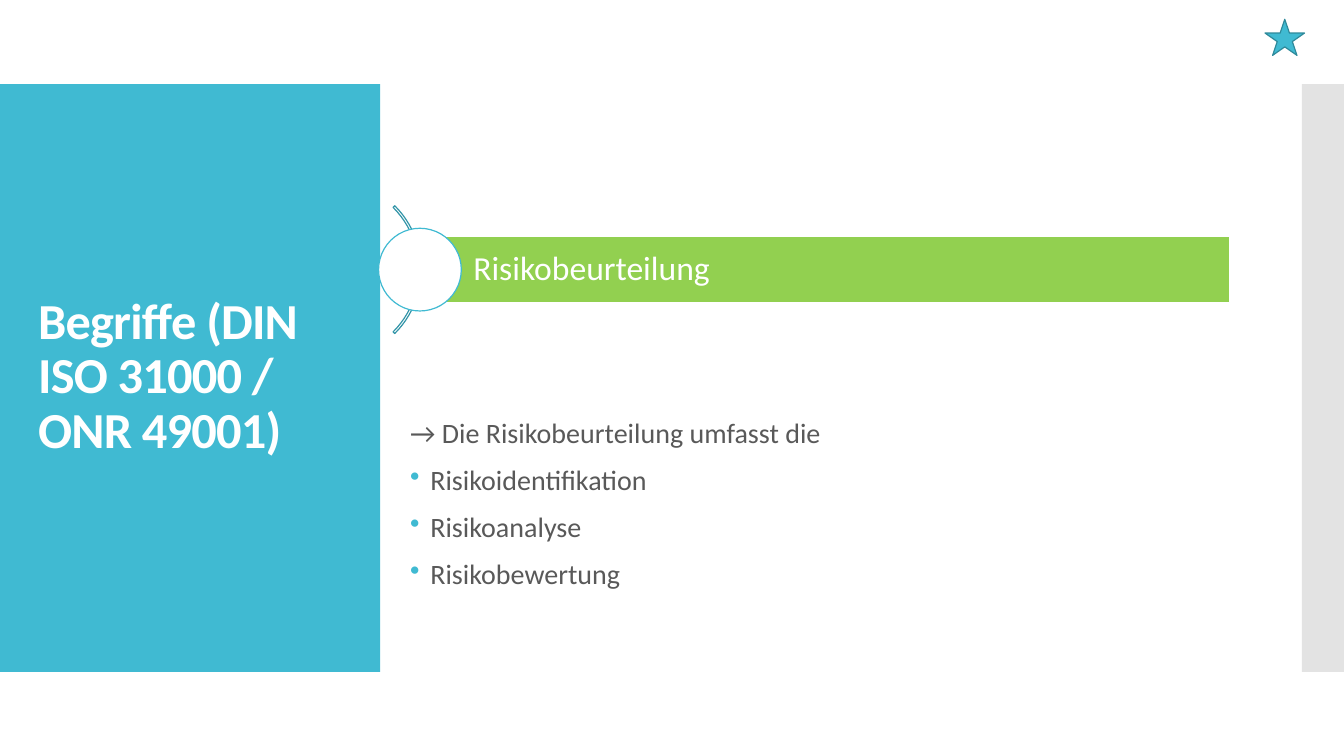
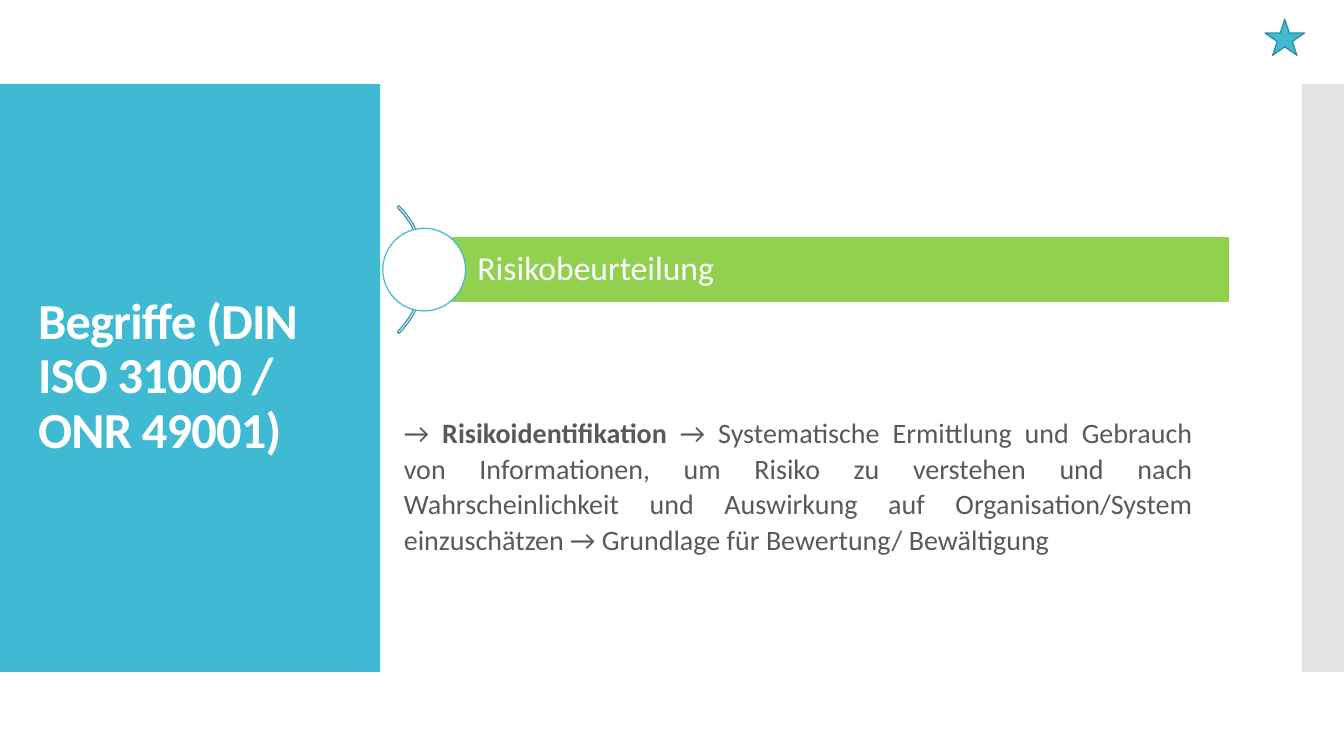
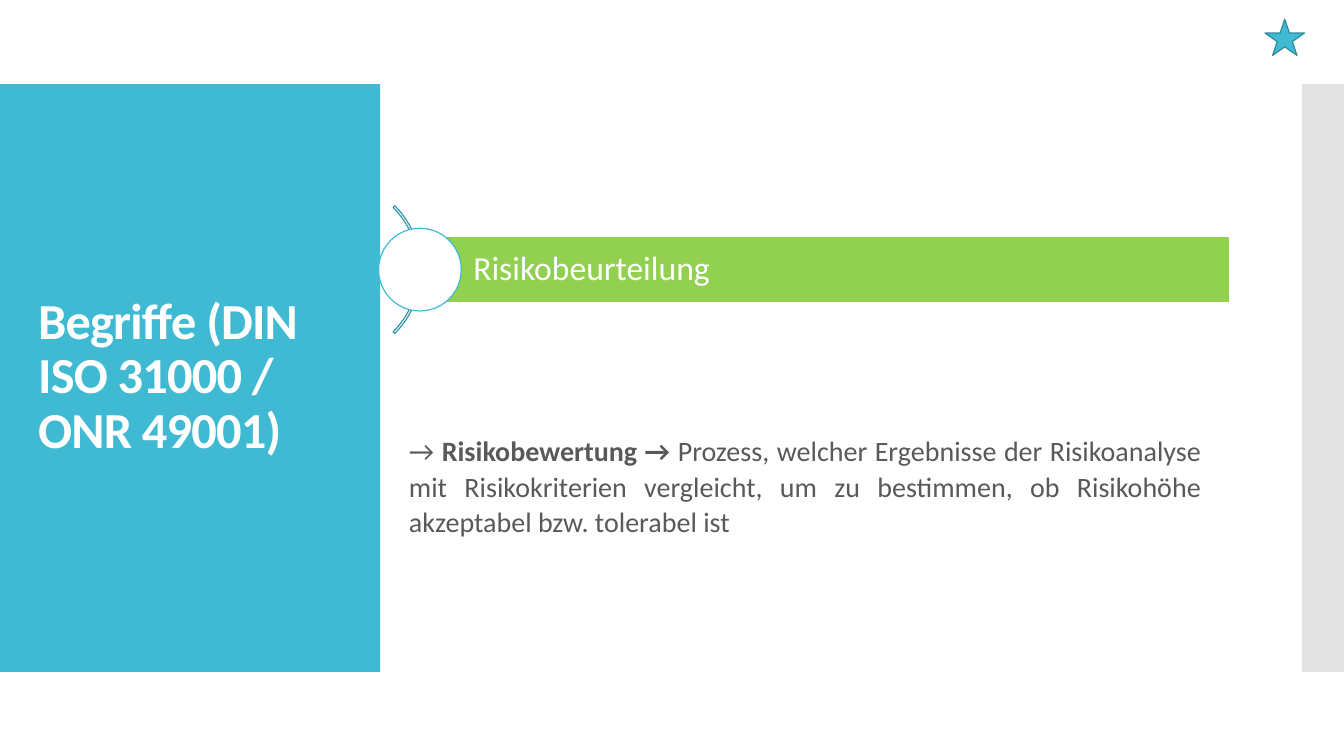
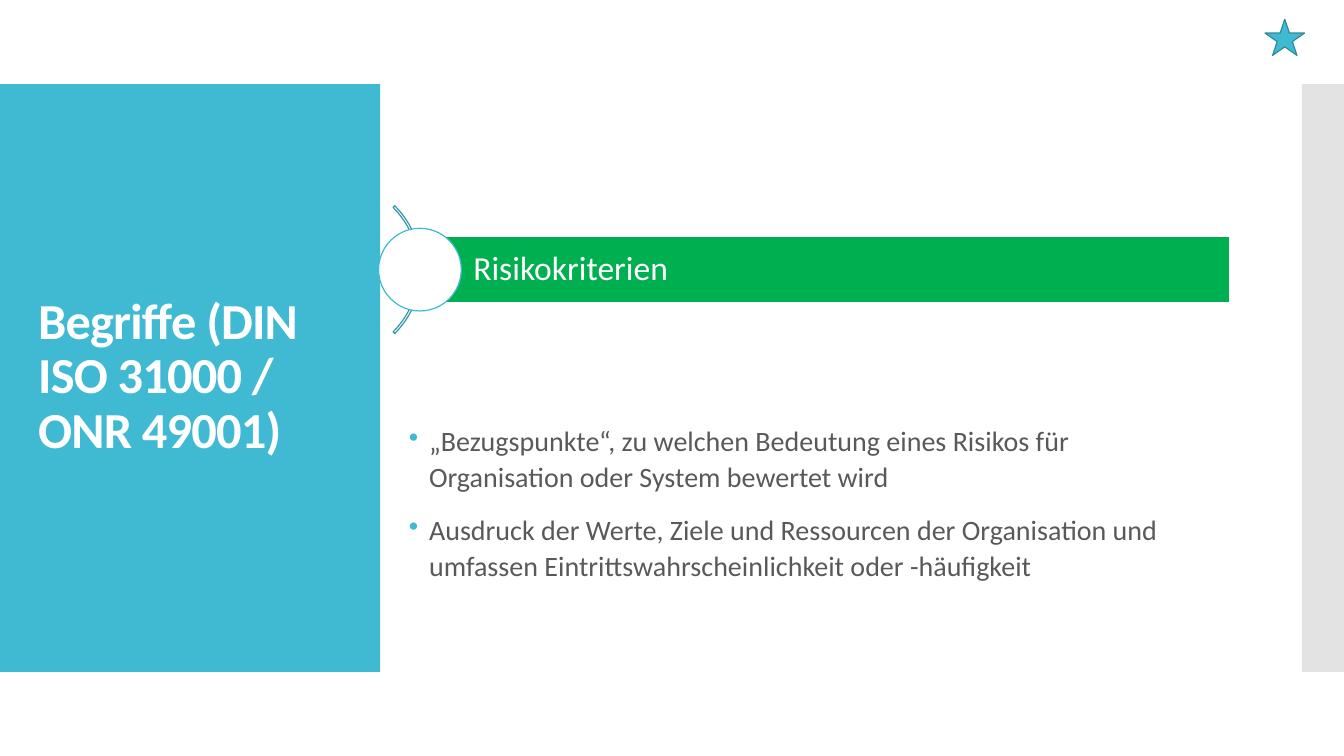
from lxml.etree import SubElement
from pptx import Presentation
from pptx.dml.color import RGBColor
from pptx.enum.shapes import MSO_SHAPE
from pptx.enum.text import MSO_ANCHOR, MSO_AUTO_SIZE, PP_ALIGN
from pptx.oxml.ns import qn
from pptx.util import Inches, Pt

WIDTH, HEIGHT = Inches(13.33), Inches(7.5)
COLUMNS, ROWS = 32, 18
FONT = "Calibri"
TITLE = "Begriffe (DIN ISO 31000 / ONR 49001)"

WHITE = RGBColor(0xFF, 0xFF, 0xFF)
TURQUOISE = RGBColor(0x40, 0xBA, 0xD2)
ARC_BLUE = RGBColor(0x33, 0x95, 0xA8)
STAR_BLUE = RGBColor(0x2F, 0x8A, 0x9B)
GREY = RGBColor(0xC8, 0xC8, 0xC8)
TEXT_GREY = RGBColor(0x59, 0x59, 0x59)
LIGHT_GREEN = RGBColor(0x92, 0xD0, 0x50)
GREEN = RGBColor(0x00, 0xB0, 0x50)

BAR_MIDDLE, BAR_RIGHT = 6.42, 29.28
BODY_HEIGHT = 5.8


def columns(count):
    return round(WIDTH * count / COLUMNS)


def rows(count):
    return round(HEIGHT * count / ROWS)


def box(left, top, width, height):
    return columns(left), rows(top), columns(width), rows(height)


def centred(middle_column, middle_row, size):
    return box(middle_column - size / 2, middle_row - size / 2, size, size)


def add_figure(slide, kind, place, fill=None, line=None):
    shape = slide.shapes.add_shape(kind, *place)
    shape.shadow.inherit = False
    if fill is None:
        shape.fill.background()
    else:
        shape.fill.solid()
        shape.fill.fore_color.rgb = fill
    if line is None:
        shape.line.fill.background()
    else:
        shape.line.color.rgb = line
        shape.line.width = Pt(0.85)
    return shape


def style_runs(paragraph, size, colour):
    for run in paragraph.runs:
        run.font.name = FONT
        run.font.size = Pt(size)
        run.font.color.rgb = colour


def share_bands(layout, slide):
    panel = add_figure(slide, MSO_SHAPE.RECTANGLE, box(0, 2, 9.05, 14), TURQUOISE)
    edge = add_figure(slide, MSO_SHAPE.RECTANGLE, box(31, 2, 1, 14), GREY)
    for colour in edge.element.iter(qn("a:srgbClr")):
        SubElement(colour, qn("a:alpha")).set("val", "50000")
    for number, band in enumerate((panel, edge), start=20):
        next(band.element.iter(qn("p:cNvPr"))).set("id", str(number))
        layout.shapes.element.insert(2, band.element)


def set_title(slide):
    title = slide.shapes.title
    title.left, title.top, title.width, title.height = box(0.67, 2.95, 7.73, 12.07)
    frame = title.text_frame
    frame.text = TITLE
    frame.word_wrap = True
    frame.auto_size = MSO_AUTO_SIZE.NONE
    frame.vertical_anchor = MSO_ANCHOR.MIDDLE
    paragraph = frame.paragraphs[0]
    paragraph.alignment = PP_ALIGN.LEFT
    paragraph.line_spacing = 0.9
    style_runs(paragraph, 36, WHITE)
    paragraph.runs[0].font.bold = True
    for properties in title.element.iter(qn("a:rPr")):
        properties.set("spc", "-60")


def add_term_bar(slide, term, colour, left):
    arc = add_figure(slide, MSO_SHAPE.BLOCK_ARC,
                     centred(left - 2.12, BAR_MIDDLE, 4.3), line=ARC_BLUE)
    for index, value in enumerate((189, 27, 0.013)):
        arc.adjustments[index] = value
    bar = add_figure(slide, MSO_SHAPE.RECTANGLE,
                     box(left, BAR_MIDDLE - 0.78, BAR_RIGHT - left, 1.56), colour, WHITE)
    frame = bar.text_frame
    frame.text = term
    frame.vertical_anchor = MSO_ANCHOR.MIDDLE
    frame.margin_left = columns(1.27)
    paragraph = frame.paragraphs[0]
    paragraph.alignment = PP_ALIGN.LEFT
    paragraph.line_spacing = 0.9
    style_runs(paragraph, 24, WHITE)
    add_figure(slide, MSO_SHAPE.OVAL, centred(left, BAR_MIDDLE, 1.97), WHITE, TURQUOISE)


def add_bullet(paragraph):
    properties = paragraph._p.get_or_add_pPr()
    properties.set("marL", str(Inches(0.2)))
    properties.set("indent", str(-Inches(0.2)))
    colour = SubElement(properties, qn("a:buClr"))
    SubElement(colour, qn("a:srgbClr")).set("val", str(TURQUOISE))
    SubElement(properties, qn("a:buChar")).set("char", "•")


def add_body(slide, left, middle, width, paragraphs):
    place = box(left, middle - BODY_HEIGHT / 2, width, BODY_HEIGHT)
    frame = slide.shapes.add_textbox(*place).text_frame
    frame.word_wrap = True
    frame.vertical_anchor = MSO_ANCHOR.MIDDLE
    for index, (kind, spacing, parts) in enumerate(paragraphs):
        paragraph = frame.add_paragraph() if index else frame.paragraphs[0]
        if kind == "bullet":
            add_bullet(paragraph)
        else:
            paragraph.alignment = PP_ALIGN.JUSTIFY
        paragraph.line_spacing = spacing
        paragraph.space_before = Pt(12 if index else 0)
        for position, part in enumerate(parts):
            run = paragraph.add_run()
            run.text = part
            run.font.bold = position == 1
        style_runs(paragraph, 20, TEXT_GREY)


def add_star(slide):
    add_figure(slide, MSO_SHAPE.STAR_5_POINT, box(30.12, 0.46, 0.94, 0.86),
               TURQUOISE, STAR_BLUE)


TERMS = [
    ("Risikobeurteilung", LIGHT_GREEN, 10, (9.53, 11.95, 19.2), [
        ("plain", 1.07, ["→ Die Risikobeurteilung umfasst die"]),
        ("bullet", 0.9, ["Risikoidentifikation"]),
        ("bullet", 0.9, ["Risikoanalyse"]),
        ("bullet", 0.9, ["Risikobewertung"]),
    ]),
    ("Risikobeurteilung", LIGHT_GREEN, 10.1, (9.38, 11.54, 19.25), [
        ("plain", 1.07, [
            "→ ", "Risikoidentifikation ",
            "→ Systematische Ermittlung und Gebrauch von Informationen, um Risiko zu "
            "verstehen und nach Wahrscheinlichkeit und Auswirkung auf "
            "Organisation/System einzuschätzen → Grundlage für Bewertung/ Bewältigung"]),
    ]),
    ("Risikobeurteilung", LIGHT_GREEN, 10, (9.5, 11.54, 19.34), [
        ("plain", 1.07, [
            "→ ", "Risikobewertung → ",
            "Prozess, welcher Ergebnisse der Risikoanalyse mit Risikokriterien "
            "vergleicht, um zu bestimmen, ob Risikohöhe akzeptabel bzw. tolerabel ist"]),
    ]),
    ("Risikokriterien", GREEN, 10, (9.5, 11.95, 19.39), [
        ("bullet", 1.07, [
            "„Bezugspunkte“, zu welchen Bedeutung eines Risikos für Organisation "
            "oder System bewertet wird"]),
        ("bullet", 1.07, [
            "Ausdruck der Werte, Ziele und Ressourcen der Organisation und umfassen "
            "Eintrittswahrscheinlichkeit oder -häufigkeit"]),
    ]),
]


def main():
    presentation = Presentation()
    presentation.slide_width, presentation.slide_height = WIDTH, HEIGHT
    layout = presentation.slide_layouts.get_by_name("Title Only")
    slides = [presentation.slides.add_slide(layout) for _ in TERMS]
    share_bands(layout, slides[0])
    for slide, (term, colour, left, place, paragraphs) in zip(slides, TERMS):
        set_title(slide)
        add_body(slide, *place, paragraphs)
        add_term_bar(slide, term, colour, left)
        add_star(slide)
    presentation.save("out.pptx")


if __name__ == "__main__":
    main()
